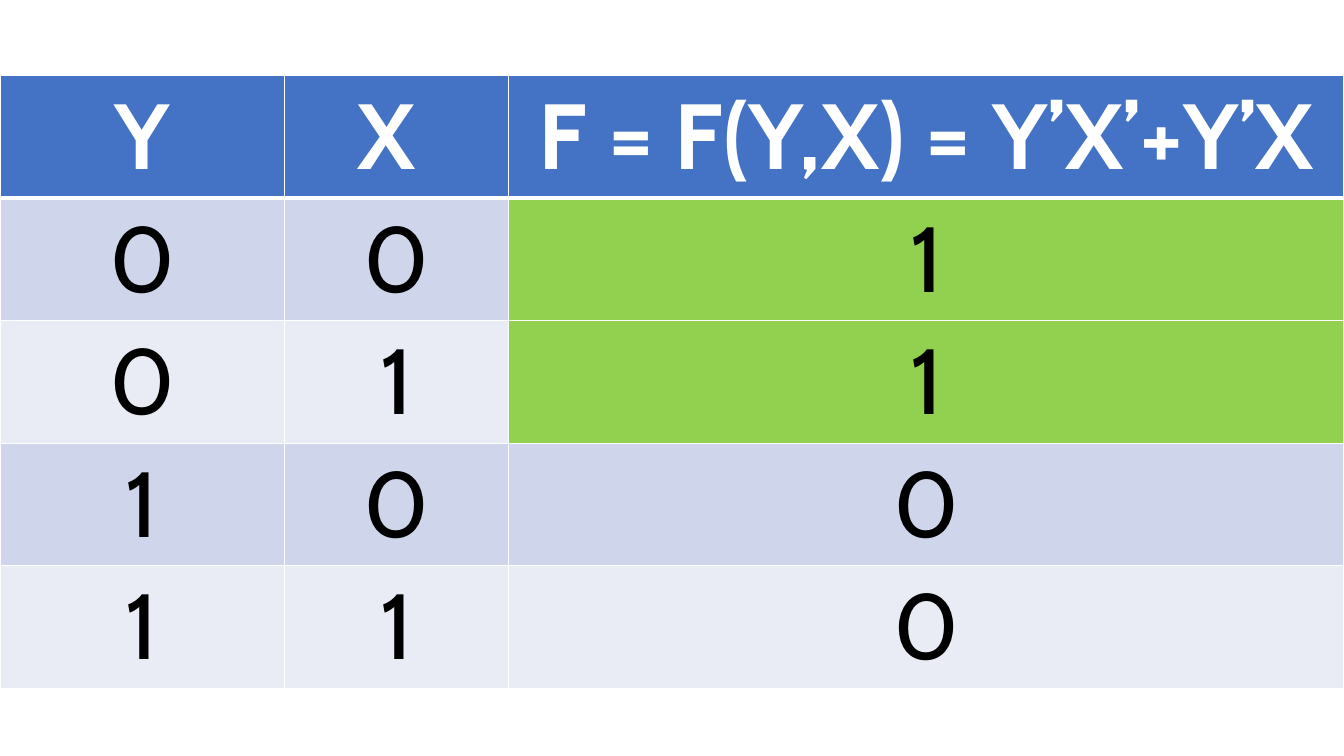
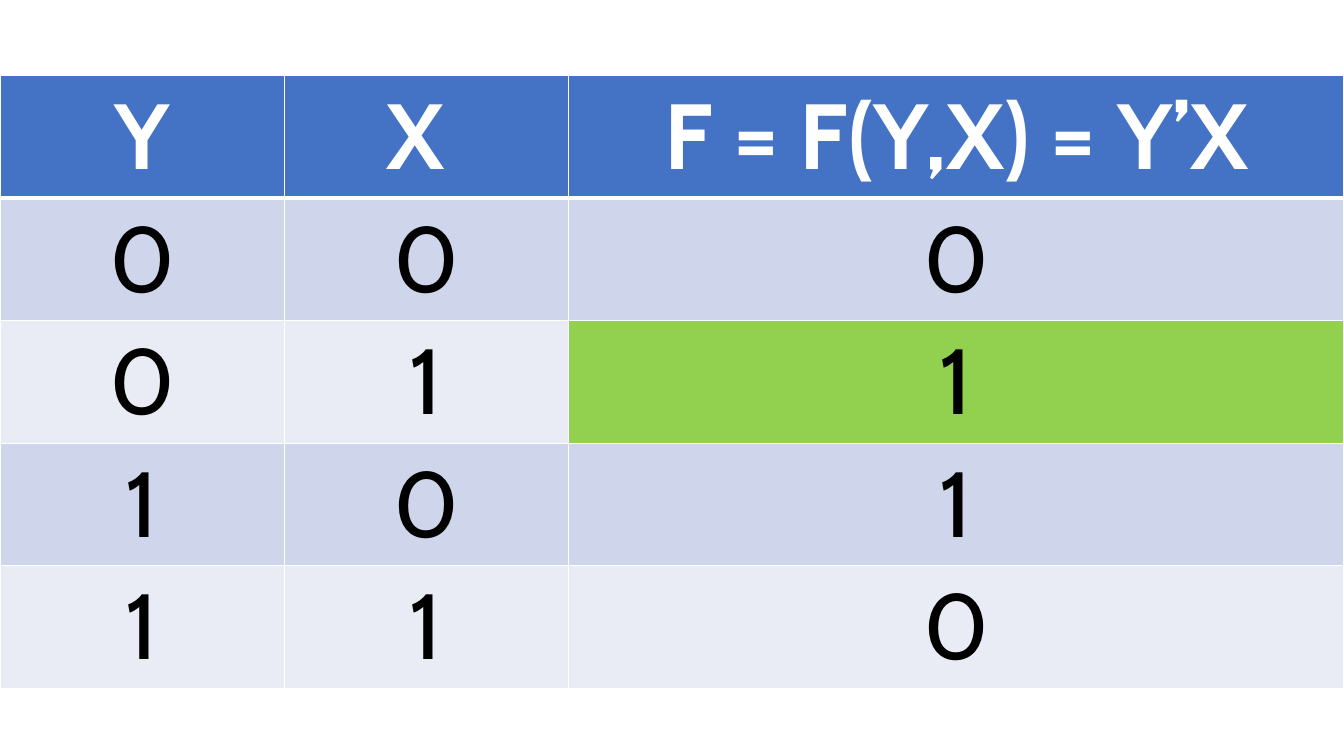
from itertools import product

from lxml import etree
from pptx import Presentation
from pptx.dml.color import RGBColor
from pptx.enum.text import PP_ALIGN
from pptx.oxml.ns import qn
from pptx.util import Pt

CENTER = PP_ALIGN.CENTER
WIDTH, HEIGHT = 960, 540
COLORS = {
    "header": "4472C4",
    "odd": "CFD5EA",
    "even": "E9EBF5",
    "highlight": "92D050",
    "white": "FFFFFF",
    "black": "000000",
}


class Deck:
    """Truth-table slides in one shared style."""

    font = "Cabin"
    size = 66
    top = 54
    table_height = 432

    def __init__(self):
        self.prs = Presentation()
        self.prs.slide_width, self.prs.slide_height = Pt(WIDTH), Pt(HEIGHT)
        self.s = None

    def slide(self):
        self.s = self.prs.slides.add_slide(self.prs.slide_layouts[6])

    def borders(self, cell, row):
        tcPr = cell._tc.get_or_add_tcPr()
        widths = {"L": 1, "R": 1, "T": 3 if row == 1 else 1, "B": 3 if row == 0 else 1}
        for side, width in widths.items():
            ln = etree.SubElement(tcPr, qn(f"a:ln{side}"), w=str(Pt(width)))
            fill = etree.SubElement(ln, qn("a:solidFill"))
            etree.SubElement(fill, qn("a:srgbClr"), val=COLORS["white"])

    def cell(self, cell, row, text, fill):
        self.borders(cell, row)
        cell.fill.solid()
        cell.fill.fore_color.rgb = RGBColor.from_string(COLORS[fill])
        p = cell.text_frame.paragraphs[0]
        p.alignment = CENTER
        r = p.add_run()
        r.text = text
        r.font.name, r.font.size, r.font.bold = self.font, Pt(self.size), row == 0
        r.font.color.rgb = RGBColor.from_string(COLORS["black" if row else "white"])

    def truth_table(self, formula, outputs, input_widths, highlighted):
        inputs = product("01", repeat=2)
        rows = [("Y", "X ", formula)] + [(*yx, f) for yx, f in zip(inputs, outputs)]
        widths = [*input_widths, WIDTH - sum(input_widths)]
        table = self.s.shapes.add_table(
            len(rows), len(widths), 0, Pt(self.top), Pt(WIDTH), Pt(self.table_height)
        ).table
        for col, width in zip(table.columns, widths):
            col.width = Pt(width)
        for i, values in enumerate(rows):
            band = "header" if i == 0 else "odd" if i % 2 else "even"
            for j, text in enumerate(values):
                marked = j == 2 and i in highlighted
                self.cell(table.cell(i, j), i, text, "highlight" if marked else band)


def main():
    deck = Deck()
    deck.slide()
    deck.truth_table("F = F(Y,X) = Y’X’+Y’X", "1100", (203, 160.5), {1, 2})
    deck.slide()
    deck.truth_table("F = F(Y,X) = Y’X", "0110", (203, 203), {2})
    deck.prs.save("out.pptx")


if __name__ == "__main__":
    main()
